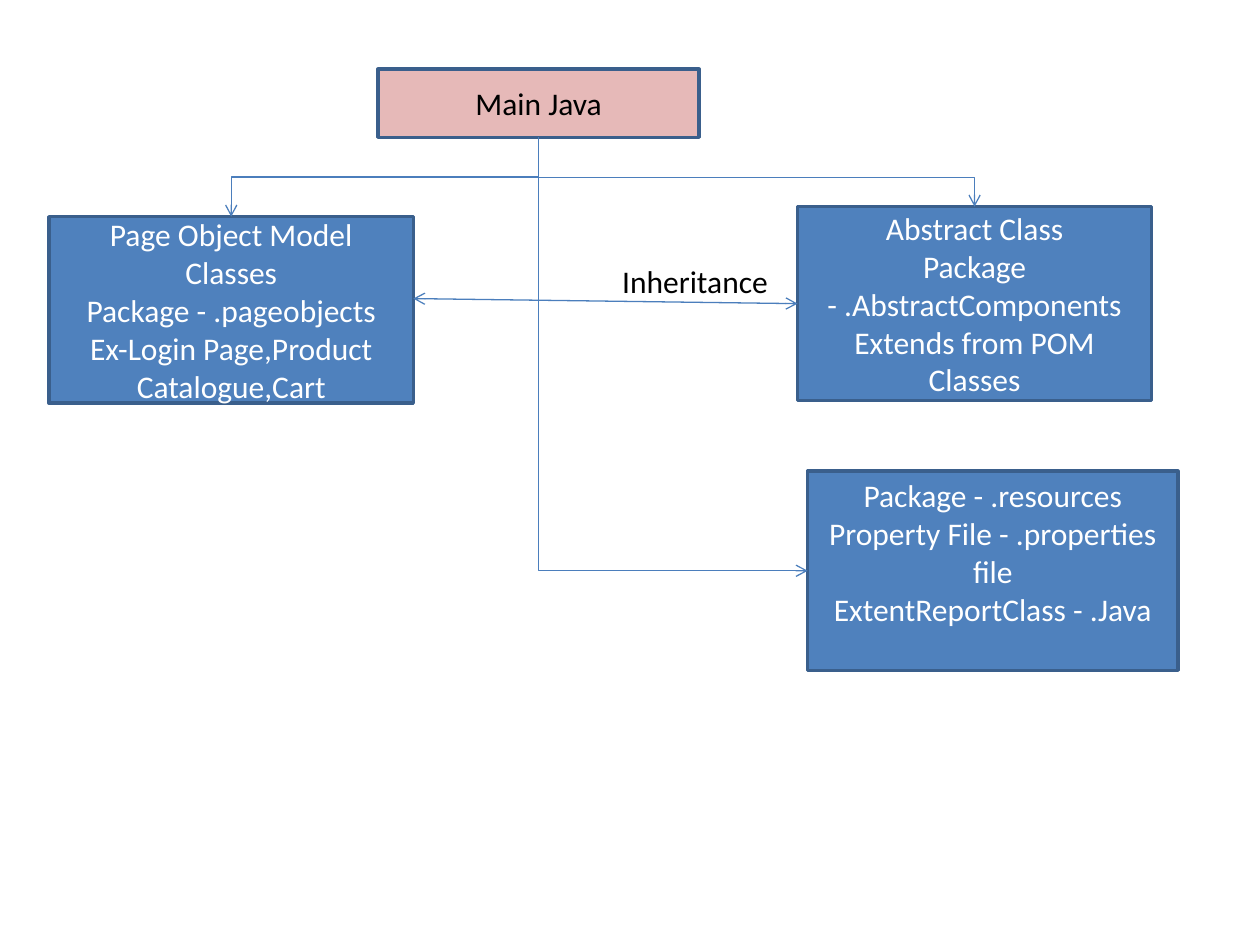
from dataclasses import dataclass

import pptx
import pptx.dml.color
import pptx.enum.shapes
import pptx.enum.text
import pptx.oxml
import pptx.oxml.ns
import pptx.util
from pptx.util import Inches

BLUE, PINK, EDGE, WIRE = "4F81BD", "E6B9B8", "3A5F8C", "4B7EBC"
WHITE, BLACK = "FFFFFF", "000000"
TOP, LEFT, BOTTOM = 0, 1, 2  # connection sites of a rectangle
FONT = {"name": "Calibri", "size": pptx.util.Pt(18)}


@dataclass
class Box:
    left: float
    top: float
    width: float
    height: float
    lines: tuple[str, ...]
    fill: str = BLUE
    ink: str = WHITE
    bottom_margin: float = 0.05


@dataclass
class Branch:
    target: str
    site: int
    bend: float | None = None  # None: a single corner


BOXES = {
    "main": Box(3, 0.55, 2.55, 0.54, ("Main Java",), PINK, BLACK),
    "pages": Box(0.39, 1.72, 2.89, 1.48, (
        "Page Object Model Classes",
        "Package - .pageobjects",
        "Ex-Login Page,Product Catalogue,Cart")),
    "abstract": Box(6.33, 1.64, 2.81, 1.54, (
        "Abstract Class",
        "Package - .AbstractComponents",
        "Extends from POM Classes")),
    "resources": Box(6.41, 3.74, 2.94, 1.58, (
        "Package - .resources",
        "Property File - .properties file",
        "ExtentReportClass - .Java"), bottom_margin=0.35),
}
BRANCHES = (
    Branch("pages", TOP, 0.5),
    Branch("abstract", TOP, 0.58),
    Branch("resources", LEFT),
)


def colour(value: str) -> pptx.dml.color.RGBColor:
    return pptx.dml.color.RGBColor.from_string(value)


def apply(target, values: dict) -> None:
    for name, value in values.items():
        setattr(target, name, value)


def write(frame, lines: tuple[str, ...], ink: str, align=None) -> None:
    for number, line in enumerate(lines):
        para = frame.paragraphs[0] if number == 0 else frame.add_paragraph()
        para.alignment = align
        span = para.add_run()
        span.text = line
        apply(span.font, FONT)
        span.font.color.rgb = colour(ink)


def draw_box(page, box: Box):
    shape = page.shapes.add_shape(
        pptx.enum.shapes.MSO_SHAPE.RECTANGLE,
        Inches(box.left), Inches(box.top), Inches(box.width), Inches(box.height))
    shape.shadow.inherit = False
    shape.fill.solid()
    shape.fill.fore_color.rgb = colour(box.fill)
    shape.line.color.rgb = colour(EDGE)
    shape.line.width = pptx.util.Pt(2)
    apply(shape.text_frame, {
        "word_wrap": True,
        "vertical_anchor": pptx.enum.text.MSO_ANCHOR.MIDDLE,
        "margin_bottom": Inches(box.bottom_margin),
    })
    write(shape.text_frame, box.lines, box.ink, pptx.enum.text.PP_ALIGN.CENTER)
    return shape


def style_wire(wire, *ends: str) -> None:
    wire.line.color.rgb = colour(WIRE)
    wire.line.width = pptx.util.Pt(0.75)
    outline = wire.line._get_or_add_ln()
    for end in ends:
        arrow = pptx.oxml.parse_xml(
            f'<a:{end} {pptx.oxml.ns.nsdecls("a")} type="arrow"/>')
        outline.append(arrow)
    wire._element.spPr.append(
        pptx.oxml.parse_xml(f'<a:effectLst {pptx.oxml.ns.nsdecls("a")}/>'))


def draw_branch(page, shapes: dict, branch: Branch) -> None:
    """Elbow that leaves the main box downwards: a preset turned a quarter."""
    wire = page.shapes.add_connector(
        pptx.enum.shapes.MSO_CONNECTOR.ELBOW, 0, 0, 0, 0)
    wire.begin_connect(shapes["main"], BOTTOM)
    wire.end_connect(shapes[branch.target], branch.site)
    across, down = wire.end_x - wire.begin_x, wire.end_y - wire.begin_y
    middle_x, middle_y = wire.begin_x + across // 2, wire.begin_y + down // 2
    apply(wire, {
        "left": middle_x - down // 2, "top": middle_y - abs(across) // 2,
        "width": down, "height": abs(across),
    })
    frame = wire._element.spPr.find(pptx.oxml.ns.qn("a:xfrm"))
    rightward = across > 0
    frame.set("rot", str((270 if rightward else 90) * 60000))
    frame.set("flipH", "1" if rightward else "0")
    frame.set("flipV", "0")

    preset = wire._element.spPr.find(pptx.oxml.ns.qn("a:prstGeom"))
    if branch.bend is None:
        preset.set("prst", "bentConnector2")
    else:
        guides = preset.find(pptx.oxml.ns.qn("a:avLst"))
        guides.append(pptx.oxml.parse_xml(
            f'<a:gd {pptx.oxml.ns.nsdecls("a")} name="adj1" '
            f'fmla="val {round(branch.bend * 100000)}"/>'))
    style_wire(wire, "tailEnd")


def main() -> None:
    deck = pptx.Presentation()
    apply(deck, {"slide_width": Inches(10), "slide_height": Inches(7.5)})
    page = deck.slides.add_slide(deck.slide_layouts[6])

    # Boxes and the branches from the main one
    shapes = {name: draw_box(page, box) for name, box in BOXES.items()}
    for branch in BRANCHES:
        draw_branch(page, shapes, branch)

    # Inheritance link and its label
    link = page.shapes.add_connector(
        pptx.enum.shapes.MSO_CONNECTOR.STRAIGHT,
        Inches(3.28), Inches(2.37), Inches(6.33), Inches(2.41))
    style_wire(link, "headEnd", "tailEnd")
    label = page.shapes.add_textbox(
        Inches(4.84), Inches(2.03), Inches(1.37), Inches(0.4))
    apply(label.text_frame, {
        "word_wrap": False,
        "auto_size": pptx.enum.text.MSO_AUTO_SIZE.SHAPE_TO_FIT_TEXT,
    })
    write(label.text_frame, ("Inheritance",), BLACK)

    deck.save("out.pptx")


if __name__ == "__main__":
    main()
